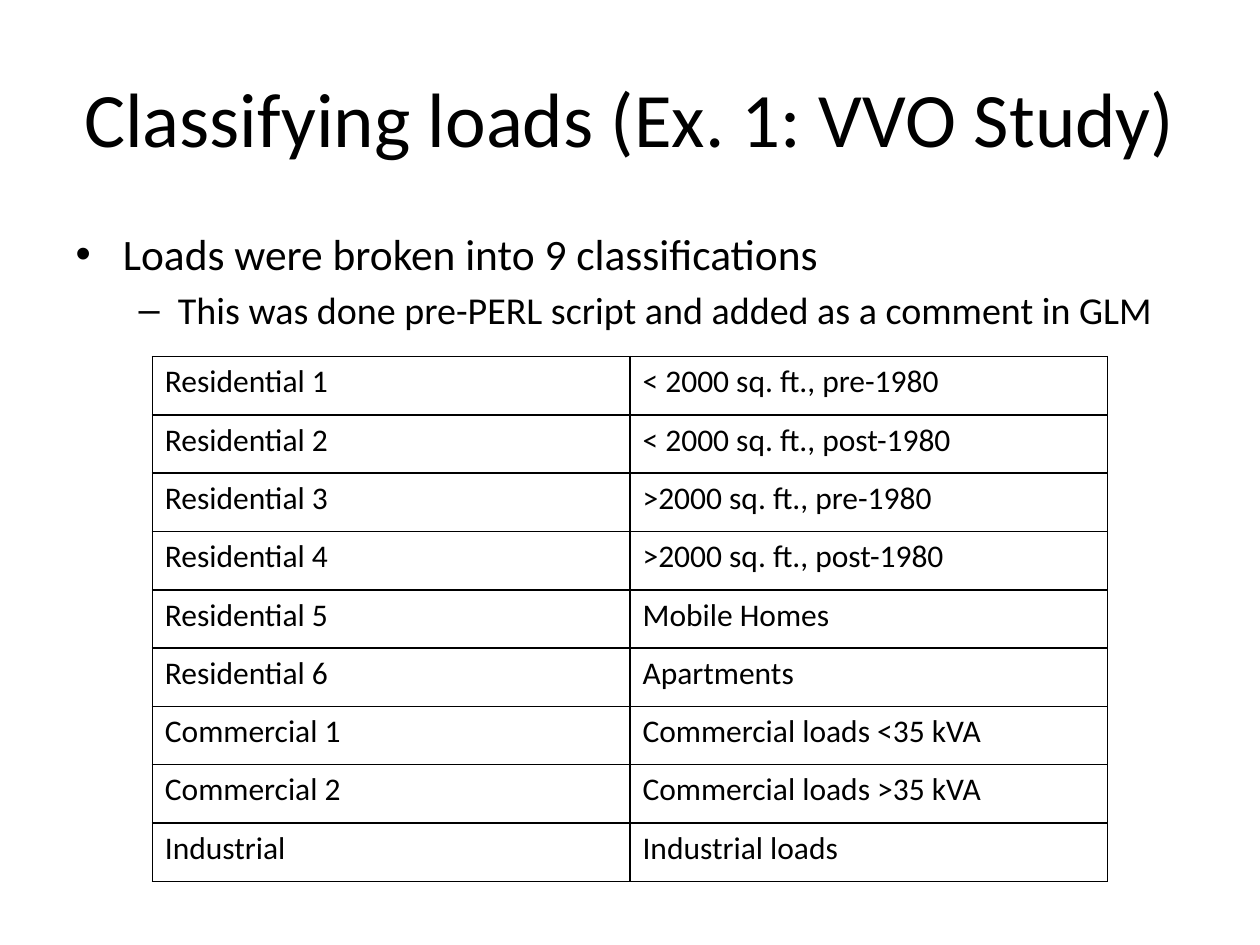
import pptx
import pptx.dml.color
import pptx.enum.text
import pptx.oxml
import pptx.oxml.ns
import pptx.util
from pptx.util import Cm

COLORS = {"text": "000000", "border": "000000", "background": "FFFFFF"}
FONT = "Calibri"


def format_paragraph(paragraph, size):
    paragraph.font.name = FONT
    paragraph.font.size = pptx.util.Pt(size)
    paragraph.font.color.rgb = pptx.dml.color.RGBColor.from_string(COLORS["text"])


def add_borders(cell):
    properties = cell._tc.get_or_add_tcPr()
    for position, side in enumerate(("lnL", "lnR", "lnT", "lnB")):
        properties.insert(position, pptx.oxml.parse_xml(
            f'<a:{side} {pptx.oxml.ns.nsdecls("a")} w="12700"><a:solidFill>'
            f'<a:srgbClr val="{COLORS["border"]}"/></a:solidFill></a:{side}>'))


presentation = pptx.Presentation()
presentation.slide_width = Cm(25.4)
presentation.slide_height = Cm(19.05)
slide = presentation.slides.add_slide(presentation.slide_layouts[1])
slide.background.fill.solid()
slide.background.fill.fore_color.rgb = pptx.dml.color.RGBColor.from_string(COLORS["background"])

# Title
title = slide.shapes.title
title.left, title.top, title.width, title.height = Cm(1.27), Cm(0.76), Cm(22.86), Cm(3.18)
title.text_frame.text = "Classifying loads (Ex. 1: VVO Study)"
title.text_frame.auto_size = pptx.enum.text.MSO_AUTO_SIZE.NONE
format_paragraph(title.text_frame.paragraphs[0], 44)

# Bullet list
body = slide.placeholders[1]
body.left, body.top, body.width, body.height = Cm(1.27), Cm(4.45), Cm(22.86), Cm(2.54)
body.text_frame.auto_size = pptx.enum.text.MSO_AUTO_SIZE.NONE
body.text_frame.text = (
    "Loads were broken into 9 classifications\n"
    "This was done pre-PERL script and added as a comment in GLM"
)
for level, (paragraph, size) in enumerate(zip(body.text_frame.paragraphs, (24.8, 21.7))):
    paragraph.level = level
    format_paragraph(paragraph, size)

# Table of load classes
load_classes = [
    ("Residential 1", "< 2000 sq. ft., pre-1980"),
    ("Residential 2", "< 2000 sq. ft., post-1980"),
    ("Residential 3", ">2000 sq. ft., pre-1980"),
    ("Residential 4", ">2000 sq. ft., post-1980"),
    ("Residential 5", "Mobile Homes"),
    ("Residential 6", "Apartments"),
    ("Commercial 1", "Commercial loads <35 kVA"),
    ("Commercial 2", "Commercial loads >35 kVA"),
    ("Industrial", "Industrial loads"),
]
table = slide.shapes.add_table(
    len(load_classes), 2, Cm(3.07), Cm(7.19), Cm(19.26), Cm(10.58)).table
table.first_row = False
table.horz_banding = False
for row, texts in enumerate(load_classes):
    for column, text in enumerate(texts):
        cell = table.cell(row, column)
        cell.text = text
        cell.fill.background()
        format_paragraph(cell.text_frame.paragraphs[0], 18)
        add_borders(cell)

presentation.save("out.pptx")
